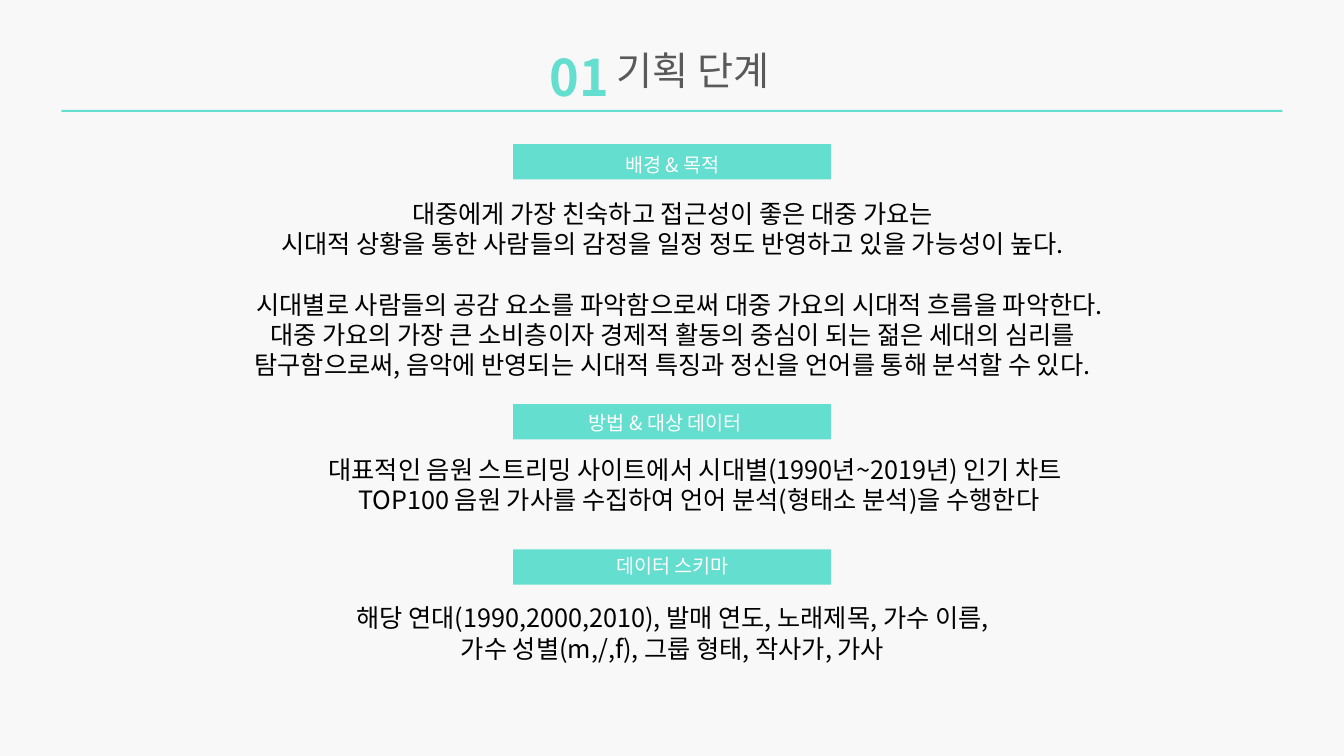
from dataclasses import dataclass

from pptx import Presentation
from pptx.dml import color
from pptx.enum import shapes, text
from pptx.oxml import ns
from pptx.util import Inches, Pt


@dataclass(frozen=True)
class Theme:
    font: str = "Noto Sans CJK KR"
    paper: str = "F8F8F8"
    mint: str = "64DECF"
    grey: str = "595959"
    white: str = "FFFFFF"
    black: str = "000000"
    number_size: int = 36
    title_size: int = 28
    body_size: int = 18
    label_size: int = 14


@dataclass(frozen=True)
class Line:
    words: str
    indent: float = 0
    space_before: float = 0


@dataclass(frozen=True)
class Block:
    left: float
    top: float
    width: float
    height: float
    lines: tuple[Line, ...]
    size: int
    ink: str
    centred: bool = True
    bold: bool = False


@dataclass(frozen=True)
class Section:
    bar_top: float
    label: Block
    body: Block


THEME = Theme()
BAR_LEFT, BAR_WIDTH, BAR_HEIGHT = 5.09, 3.15, 0.35


def label(left: float, top: float, words: str) -> Block:
    return Block(left, top, 2.32, 0.34, (Line(words),), THEME.label_size, THEME.white)


def body(left: float, top: float, width: float, height: float, *lines: Line) -> Block:
    return Block(left, top, width, height, lines, THEME.body_size, THEME.black)


HEADING = (
    Block(5.81, 0.41, 2.17, 0.57, (Line("기획 단계", indent=0.21),),
          THEME.title_size, THEME.grey, centred=False),
    Block(5.35, 0.41, 0.79, 0.71, (Line("01"),),
          THEME.number_size, THEME.mint, centred=False, bold=True),
)

SECTIONS = (
    Section(1.43, label(5.51, 1.47, "배경 & 목적"), body(
        2.1, 1.92, 9.14, 1.92,
        Line("대중에게 가장 친숙하고 접근성이 좋은 대중 가요는"),
        Line("시대적 상황을 통한 사람들의 감정을 일정 정도 반영하고 있을 가능성이 높다."),
        Line("시대별로 사람들의 공감 요소를 파악함으로써 대중 가요의 시대적 흐름을 파악한다. "
             "대중 가요의 가장 큰 소비층이자 경제적 활동의 중심이 되는 젊은 세대의 심리를 "
             "탐구함으로써, 음악에 반영되는 시대적 특징과 정신을 언어를 통해 분석할 수 있다.",
             indent=0.14, space_before=21.6))),
    Section(4.01, label(5.44, 4.03, "방법 & 대상 데이터"), body(
        3.03, 4.46, 7.73, 0.71,
        Line("대표적인 음원 스트리밍 사이트에서 시대별(1990년~2019년) 인기 차트"),
        Line("TOP100 음원 가사를 수집하여 언어 분석(형태소 분석)을 수행한다", indent=0.07))),
    Section(5.45, label(5.51, 5.45, "데이터 스키마"), body(
        3.39, 5.93, 6.56, 0.71,
        Line("해당 연대(1990,2000,2010), 발매 연도, 노래제목, 가수 이름, "
             "가수 성별(m,/,f), 그룹 형태, 작사가, 가사"))),
)


def add_bar(page, left: float, top: float, width: float, height: float) -> None:
    bar = page.shapes.add_shape(shapes.MSO_SHAPE.RECTANGLE, Inches(left), Inches(top),
                                Inches(width), Inches(height))
    bar.shadow.inherit = False
    bar.fill.solid()
    bar.fill.fore_color.rgb = color.RGBColor.from_string(THEME.mint)
    bar.line.fill.background()


def add_block(page, block: Block) -> None:
    box = page.shapes.add_textbox(Inches(block.left), Inches(block.top),
                                  Inches(block.width), Inches(block.height))
    frame = box.text_frame
    frame.word_wrap = True
    frame.auto_size = text.MSO_AUTO_SIZE.SHAPE_TO_FIT_TEXT
    font_format = {"name": THEME.font, "size": Pt(block.size), "bold": block.bold}
    for number, line in enumerate(block.lines):
        para = frame.add_paragraph() if number else frame.paragraphs[0]
        para.alignment = text.PP_ALIGN.CENTER if block.centred else text.PP_ALIGN.LEFT
        para.space_before = Pt(line.space_before)
        if line.indent:
            para._p.get_or_add_pPr().set("indent", str(Inches(line.indent)))
        span = para.add_run()
        span.text = line.words
        for key, value in font_format.items():
            setattr(span.font, key, value)
        span.font.color.rgb = color.RGBColor.from_string(block.ink)
        # Hangul takes the East Asian typeface
        east_asian = span._r.get_or_add_rPr().makeelement(ns.qn("a:ea"), {"typeface": THEME.font})
        span._r.get_or_add_rPr().find(ns.qn("a:latin")).addnext(east_asian)


def main() -> None:
    deck = Presentation()
    deck.slide_width, deck.slide_height = Inches(13.33), Inches(7.5)
    page = deck.slides.add_slide(deck.slide_layouts[6])
    page.background.fill.solid()
    page.background.fill.fore_color.rgb = color.RGBColor.from_string(THEME.paper)

    # Heading with its rule
    add_bar(page, 0.61, 1.09, 12.11, 0.02)
    for block in HEADING:
        add_block(page, block)

    # Labelled sections
    for section in SECTIONS:
        add_bar(page, BAR_LEFT, section.bar_top, BAR_WIDTH, BAR_HEIGHT)
        add_block(page, section.label)
        add_block(page, section.body)

    deck.save("out.pptx")


if __name__ == "__main__":
    main()
